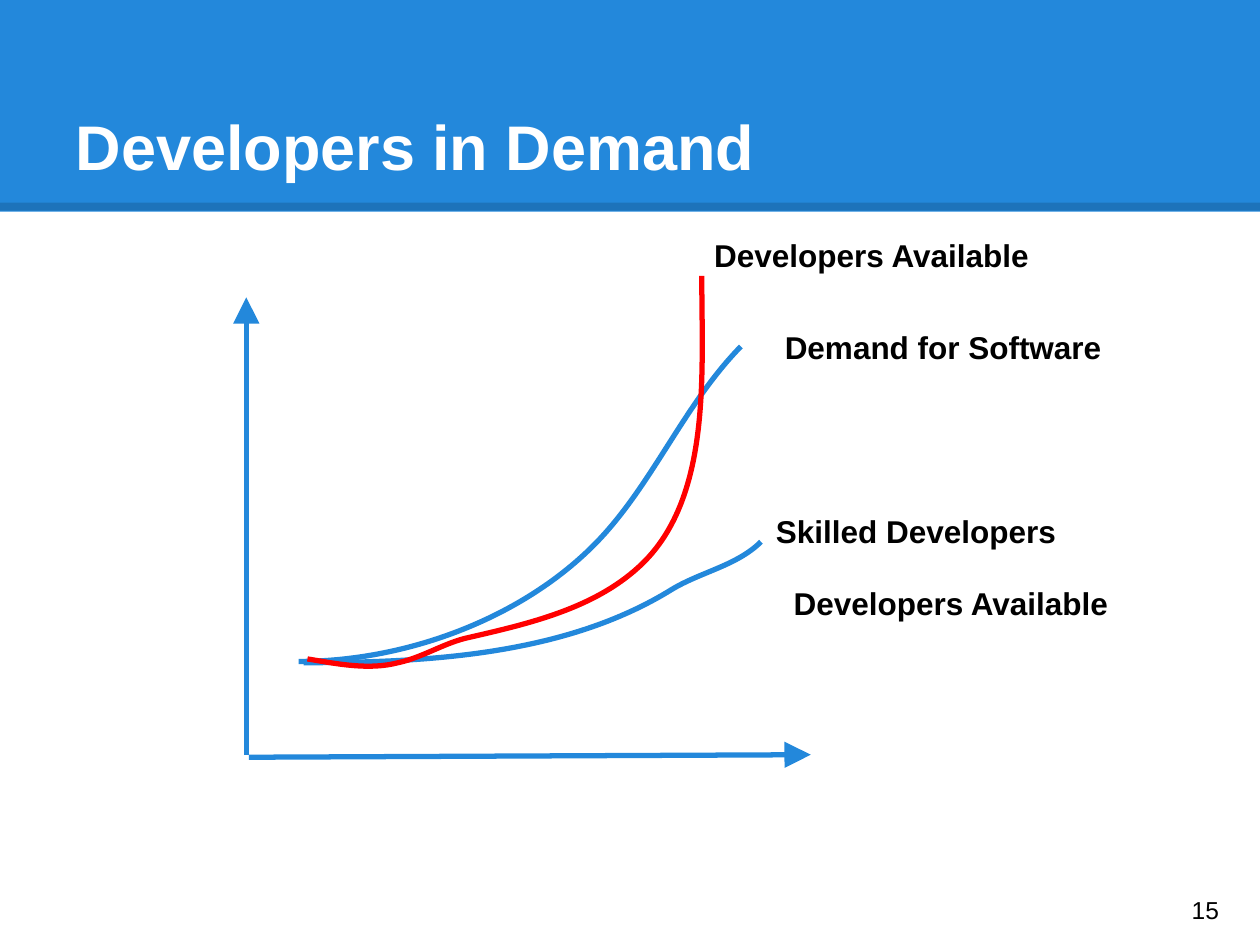
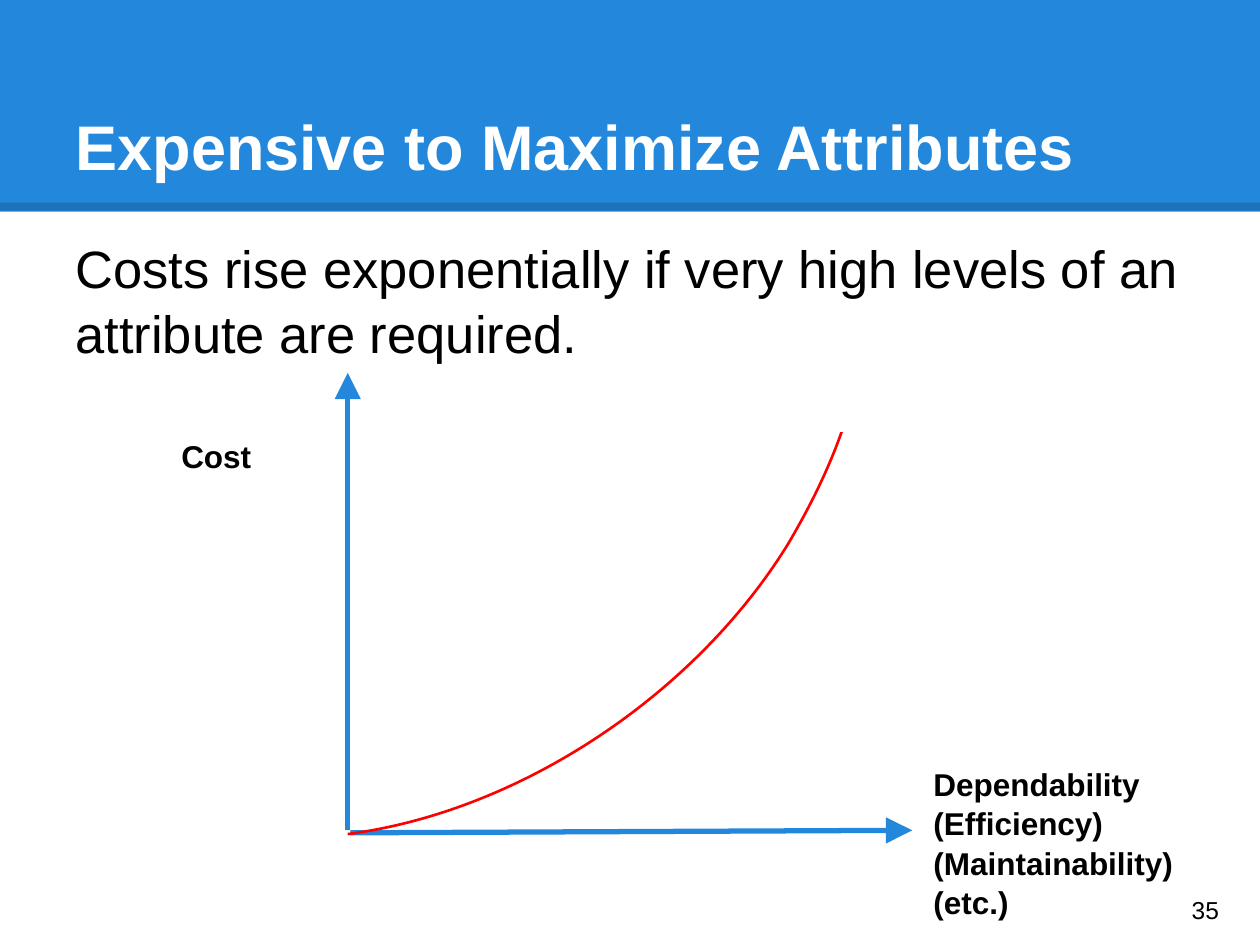
from lxml import etree
from pptx import Presentation
from pptx.dml.color import RGBColor
from pptx.enum.shapes import MSO_CONNECTOR, MSO_SHAPE
from pptx.enum.text import MSO_ANCHOR, MSO_AUTO_SIZE
from pptx.oxml.ns import qn
from pptx.util import Inches, Pt

LINE, RECT = MSO_CONNECTOR.STRAIGHT, MSO_SHAPE.RECTANGLE
TOP, MIDDLE, BOTTOM = MSO_ANCHOR.TOP, MSO_ANCHOR.MIDDLE, MSO_ANCHOR.BOTTOM
COLORS = {"blue": "2388DB", "red": "FF0000", "white": "FFFFFF", "black": "000000"}
FONT = "Arial"
COLS, ROWS = 100, 75
UNIT = Inches(0.1)


def grid(*cells):
    """Turn grid columns and rows into EMU lengths."""
    return [round(c * UNIT) for c in cells]


def color(name):
    return RGBColor.from_string(COLORS[name])


def write(shape, lines, size=18, bold=False, hue="black", anchor=TOP):
    """Fill a shape with one paragraph per line of text."""
    frame = shape.text_frame
    frame.text = lines
    frame.word_wrap = True
    frame.auto_size = MSO_AUTO_SIZE.NONE
    frame.vertical_anchor = anchor
    frame.margin_left = frame.margin_right = UNIT
    frame.margin_top = frame.margin_bottom = UNIT
    for para in frame.paragraphs:
        props = para._p.get_or_add_pPr()
        props.set("marL", "0")
        props.set("indent", "0")
        props.set("algn", "l")
        etree.SubElement(props, qn("a:buNone"))
        para.space_before = Pt(0)
        para.line_spacing = 1.04
        font = para.font
        font.name, font.size, font.bold = FONT, Pt(size), bold
        font.color.rgb = color(hue)


class Deck:
    """Holds the shared style and the slide being built."""

    def __init__(self):
        self.prs = Presentation()
        self.prs.slide_width, self.prs.slide_height = grid(COLS, ROWS)
        self.slide = None

    def start(self, title, number, body=None):
        layout = self.prs.slide_layouts[1 if body else 5]
        first = self.slide is None
        self.slide = self.prs.slides.add_slide(layout)
        if first:
            self.band()
        self.hold(0, (5, 3, 90, 12.5), title, size=36, bold=True,
                  hue="white", anchor=BOTTOM)
        if body:
            self.hold(1, (5, 17.5, 90, 54.3), body, size=30)
        self.label((93.6, 69.3, 6, 5.7), number, size=14, bold=False, anchor=MIDDLE)

    def band(self):
        """Draw the header band and move it to the slide master."""
        box = self.box((0, 0, COLS, 16.8), "blue")
        box.line.fill.background()
        rule = self.line((0, 16.4), (COLS, 16.4), "black", 4.5)
        fill = rule.element.find(".//" + qn("a:ln")).find(".//" + qn("a:srgbClr"))
        etree.SubElement(fill, qn("a:alpha"), val="15000")
        tree = self.prs.slide_master.shapes.element
        for spot, part in enumerate((box, rule), 2):
            tree.insert(spot, part.element)

    def hold(self, index, area, words, **style):
        """Place and fill a placeholder of the layout."""
        shape = self.slide.placeholders[index]
        shape.left, shape.top, shape.width, shape.height = grid(*area)
        write(shape, words, **style)

    def label(self, area, words, bold=True, **style):
        write(self.slide.shapes.add_textbox(*grid(*area)), words, bold=bold, **style)

    def box(self, area, hue):
        shape = self.slide.shapes.add_shape(RECT, *grid(*area))
        shape.shadow.inherit = False
        shape.fill.solid()
        shape.fill.fore_color.rgb = color(hue)
        self.stroke(shape, hue, 1.5)
        return shape

    def stroke(self, shape, hue, width):
        shape.line.color.rgb = color(hue)
        shape.line.width = Pt(width)

    def line(self, start, end, hue="blue", width=3, arrow=False):
        shape = self.slide.shapes.add_connector(LINE, *grid(*start, *end))
        self.stroke(shape, hue, width)
        props = shape.element.spPr
        if arrow:
            etree.SubElement(props.find(qn("a:ln")), qn("a:tailEnd"),
                             type="triangle", w="lg", len="lg")
        etree.SubElement(props, qn("a:effectLst"))
        return shape

    def axes(self, x, y):
        """Draw the upward and rightward arrows from a corner."""
        self.line((x, y), (x, y - 36.3), arrow=True)
        self.line((x + 0.2, y + 0.2), (x + 44.8, y), arrow=True)

    def curve(self, points, hue="blue", width=3):
        """Draw Bezier arcs: a start, then three points for each arc."""
        spots = [grid(*p) for p in points]
        pen = self.slide.shapes.build_freeform(*spots[0])
        pen.add_line_segments(spots[1:], close=False)
        shape = pen.convert_to_shape()
        shape.shadow.inherit = False
        shape.fill.background()
        self.stroke(shape, hue, width)
        track = shape.element.find(".//" + qn("a:path"))
        legs = track.findall(qn("a:lnTo"))
        for i in range(0, len(legs), 3):
            arc = etree.SubElement(track, qn("a:cubicBezTo"))
            for leg in legs[i:i + 3]:
                arc.append(leg[0])
                track.remove(leg)


def demand(deck):
    deck.start("Developers in Demand", "15")
    deck.axes(19.55, 59.9)
    deck.curve([(23.7, 52.5), (32.1, 52.5), (41.2, 49.2), (47.1, 43.3),
                (51.7, 38.7), (54.2, 32.2), (58.8, 27.5)])
    deck.curve([(24.1, 52.6), (34, 52.6), (44.9, 52), (53.3, 46.8),
                (55.6, 45.4), (58.5, 44.9), (60.4, 43)])
    deck.curve([(24.4, 52.3), (26.8, 52.7), (29.3, 53.2), (31.6, 52.6),
                (33.5, 52.2), (35.3, 51), (37.2, 50.6),
                (42, 49.5), (47.1, 48.3), (50.7, 45),
                (56.5, 39.7), (55.7, 29.8), (55.7, 21.9)], "red")
    for x, y, words in ((61.3, 24.9, "Demand for Software"),
                        (62, 45.2, "Developers Available"),
                        (55.7, 17.6, "Developers Available"),
                        (60.6, 39.5, "Skilled Developers")):
        deck.label((x, y, 31.5, 7.8), words)


def expense(deck):
    deck.start("Expensive to Maximize Attributes", "35",
               "Costs rise exponentially if very high levels of an attribute are required.")
    deck.axes(27.6, 65.9)
    deck.label((13.4, 33.6, 16.1, 7.8), "Cost")
    deck.label((73.1, 59.6, 25.3, 7.8),
               "Dependability\n(Efficiency)\n(Maintainability)\n(etc.)")
    deck.curve([(27.6, 66.2), (41.4, 64.4), (55.3, 55), (62.6, 43.1),
                (64.3, 40.2), (65.8, 37.2), (66.9, 34),
                (67.4, 32.7), (67.3, 31.2), (67.9, 29.9)], "red", 1.5)
    deck.box((66.2, 27.6, 8.3, 6.6), "white")


def main():
    deck = Deck()
    demand(deck)
    expense(deck)
    deck.prs.save("out.pptx")


if __name__ == "__main__":
    main()
